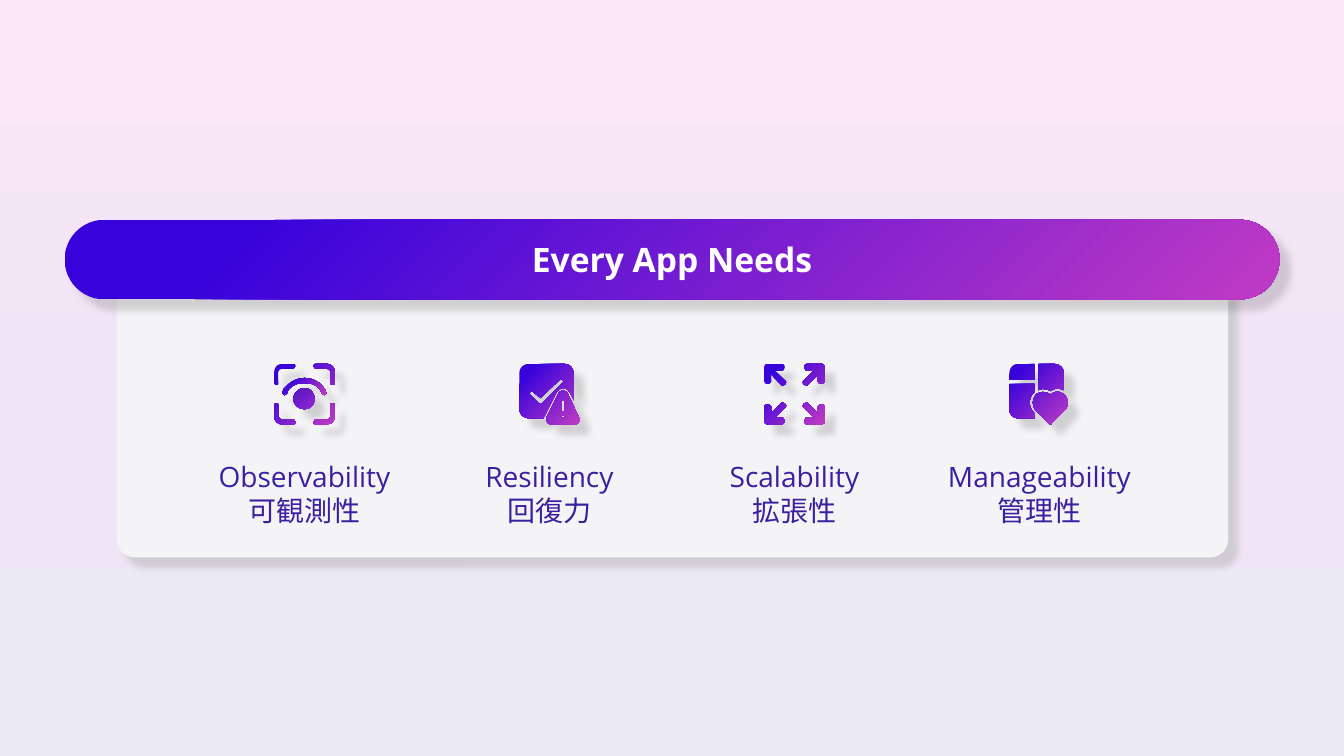
from dataclasses import dataclass

from lxml.etree import SubElement
from pptx import Presentation
from pptx.dml.color import RGBColor
from pptx.enum.shapes import MSO_SHAPE as Shape
from pptx.enum.text import MSO_ANCHOR as Anchor, MSO_AUTO_SIZE as AutoSize, PP_ALIGN as Align
from pptx.oxml import parse_xml
from pptx.oxml.ns import nsdecls, qn
from pptx.util import Emu, Pt

PX = 9144  # 100 px to the inch
FONT = "Open Sans"
CURVE_STEPS = 6
FIRST_CENTER, PITCH = 302, 243
ICON_TOP, ICON_SIZE = 361, 60
LABEL_TOP, LABEL_HEIGHT = 451, 77

Point = tuple[float, float]
Contour = list[Point]


@dataclass(frozen=True)
class Gradient:
    stops: tuple[tuple[int, str], ...]
    direction: str


@dataclass(frozen=True)
class Shadow:
    color: str
    alpha: int


@dataclass(frozen=True)
class Need:
    english: str
    japanese: str
    outlines: tuple[str, ...]  # one shape each, on a 60 px square
    mirrored: str = ""  # top left quarter, repeated in the other three
    label_width: int = 200


BACKDROP = Gradient(((0, "FCE7F8"), (50, "F0E5F6"), (100, "EDEAF7")),
                    '<a:lin ang="5400000" scaled="0"/>')
ACCENT = Gradient(((0, "C03BC4"), (85, "3803DB")),
                  '<a:path path="circle"><a:fillToRect l="100000" t="100000"/></a:path>')
PANEL_SHADOW = Shadow("B1B3B3", 50)
ACCENT_SHADOW = Shadow("454142", 20)

PUPIL = "M 19 35 C 19 29 24 24 30 24 C 36 24 40 29 40 35 C 40 40 36 45 30 45 C 24 45 19 40 19 35"
EYELID = ("M 13 29 C 12 30 11 31 10 31 C 8 30 8 28 8 28 C 8 27 9 27 9 25 C 10 24 12 22 13 21 "
          "C 16 18 22 14 30 14 C 38 14 44 18 47 21 C 48 22 49 24 50 25 C 51 26 51 27 51 28 "
          "C 52 29 51 30 50 31 C 49 31 48 30 47 29 C 46 26 45 25 44 24 C 41 21 37 19 30 19 "
          "C 23 19 19 21 16 24 C 15 25 14 26 13 28")
FRAME_CORNER = ("M 21 2 C 21 1 20 0 19 0 L 8 0 C 3 0 0 4 0 8 L 0 19 C 0 20 1 21 2 21 "
                "C 4 21 4 20 4 19 L 4 8 C 5 6 6 5 8 5 L 19 5 C 20 4 21 3 21 2")
CHECK_AND_WARNING = (
    "M 10 0 C 4 0 0 4 0 10 L 0 44 C 0 50 4 54 10 54 L 24 54 C 24 53 24 53 25 52 L 37 28 "
    "C 40 23 47 23 50 28 L 54 36 L 54 10 C 54 4 50 0 44 0 "
    "M 43 19 L 23 39 C 22 40 20 40 19 39 L 11 31 C 10 30 10 29 11 28 C 12 27 13 27 14 28 "
    "L 21 34 L 40 16 C 41 15 42 15 43 16 C 44 17 44 18 43 19 "
    "M 39 29 L 27 53 C 26 56 28 60 31 60 L 55 60 C 59 60 61 56 59 53 L 48 29 C 46 26 41 26 39 29 "
    "M 45 37 L 45 46 C 45 47 44 48 43 48 C 43 48 42 47 42 46 L 42 37 C 42 37 43 36 43 36 "
    "C 44 36 45 37 45 37 "
    "M 43 54 C 43 54 42 53 42 53 C 42 52 43 51 43 51 C 44 51 45 52 45 53 C 45 53 44 54 43 54")
ARROW = ("M 17 0 C 19 0 20 1 20 3 C 20 5 19 7 17 7 L 11 7 L 20 16 C 22 17 22 19 21 20 "
         "C 19 22 17 22 16 20 L 7 11 L 7 17 C 7 18 5 20 4 20 L 3 20 C 2 20 0 19 0 17 "
         "L 0 3 C 0 1 2 0 3 0")
TILES_AND_HEART = (
    "M 25 54 L 25 49 L 24 48 C 19 43 19 34 24 29 C 24 29 25 29 25 28 L 25 20 L 0 20 L 0 45 "
    "C 0 50 4 54 9 54 "
    "M 54 10 L 54 26 C 50 24 45 24 41 27 C 37 25 33 24 29 26 L 29 0 L 44 0 C 50 0 54 4 54 9 "
    "M 25 44 C 23 41 23 36 25 33 C 25 32 26 32 26 31 C 27 30 28 29 29 29 C 33 27 37 28 40 30 "
    "C 40 31 40 31 41 31 C 41 31 41 31 42 30 C 45 27 50 27 54 30 C 54 30 55 30 55 31 "
    "C 59 35 59 42 55 46 L 42 59 C 42 60 41 60 41 60 C 40 60 40 60 39 59 L 26 46 "
    "C 26 45 25 45 25 44 "
    "M 25 16 L 25 0 L 9 0 C 4 0 0 4 0 10 L 0 16")

NEEDS = (
    Need("Observability", "可観測性", (PUPIL, EYELID), FRAME_CORNER),
    Need("Resiliency", "回復力", (CHECK_AND_WARNING,)),
    Need("Scalability", "拡張性", ("",), ARROW),
    Need("Manageability", "管理性", (TILES_AND_HEART,), label_width=220),
)


def px(length: float) -> Emu:
    return Emu(round(length * PX))


def rgb(color: str) -> RGBColor:
    return RGBColor.from_string(color)


def set_gradient(properties, gradient: Gradient) -> None:
    """Swap the solid fill of a properties element for a gradient."""
    stops = "".join(f'<a:gs pos="{position * 1000}"><a:srgbClr val="{color}"/></a:gs>'
                    for position, color in gradient.stops)
    fill = parse_xml(f'<a:gradFill {nsdecls("a")} rotWithShape="1"><a:gsLst>{stops}</a:gsLst>'
                     f'{gradient.direction}</a:gradFill>')
    properties.replace(properties.find(qn("a:solidFill")), fill)


def style(shape, fill: str | Gradient, shadow: Shadow) -> None:
    shape.line.fill.background()
    shape.fill.solid()
    properties = shape.element.spPr
    if isinstance(fill, Gradient):
        set_gradient(properties, fill)
    else:
        shape.fill.fore_color.rgb = rgb(fill)
    shape.shadow.inherit = False
    outer = SubElement(properties.find(qn("a:effectLst")), qn("a:outerShdw"),
                       blurRad=str(Pt(5)), dist=str(Pt(10)), dir="2700000",
                       algn="tl", rotWithShape="0")
    color = SubElement(outer, qn("a:srgbClr"), val=shadow.color)
    SubElement(color, qn("a:alpha"), val=str(shadow.alpha * 1000))


def add_rounded(slide, left: int, top: int, width: int, height: int, radius: float,
                fill: str | Gradient, shadow: Shadow):
    shape = slide.shapes.add_shape(Shape.ROUNDED_RECTANGLE, px(left), px(top), px(width), px(height))
    shape.adjustments[0] = radius
    style(shape, fill, shadow)
    return shape


def write(paragraph, text: str, size: int, color: str, bold: bool = False) -> None:
    paragraph.text = text
    paragraph.alignment = Align.CENTER
    font = paragraph.font
    font.name, font.size, font.bold = FONT, Pt(size), bold
    font.color.rgb = rgb(color)


def contours(outline: str) -> list[Contour]:
    """Turn M, L and C commands into closed runs of points."""
    result: list[Contour] = []
    tokens = iter(outline.split())
    for command in tokens:
        points = [(float(next(tokens)), float(next(tokens)))
                  for _ in range(3 if command == "C" else 1)]
        if command == "M":
            result.append([])
        if command == "C":
            start, (one, two, end) = result[-1][-1], points
            points = []
            for step in range(1, CURVE_STEPS + 1):
                t = step / CURVE_STEPS
                weights = ((1 - t) ** 3, 3 * t * (1 - t) ** 2, 3 * t * t * (1 - t), t ** 3)
                points.append(tuple(sum(weight * point[axis] for weight, point
                                        in zip(weights, (start, one, two, end)))
                                    for axis in (0, 1)))
        result[-1].extend(points)
    return result


def four_corners(outline: str) -> list[Contour]:
    return [[(ICON_SIZE - x if right else x, ICON_SIZE - y if low else y) for x, y in contour]
            for right in (False, True) for low in (False, True) for contour in contours(outline)]


def add_outline(slide, left: int, parts: list[Contour]) -> None:
    placed = [[(px(left + x), px(ICON_TOP + y)) for x, y in part] for part in parts]
    builder = slide.shapes.build_freeform(*placed[0][0], scale=1.0)
    for index, part in enumerate(placed):
        if index:
            builder.move_to(*part[0])
        builder.add_line_segments(part[1:], close=True)
    style(builder.convert_to_shape(), ACCENT, ACCENT_SHADOW)


def add_need(slide, need: Need, center: int) -> None:
    for index, outline in enumerate(need.outlines):
        corners = four_corners(need.mirrored) if index == 0 else []
        add_outline(slide, center - ICON_SIZE // 2, corners + contours(outline))
    label = slide.shapes.add_textbox(px(center - need.label_width // 2), px(LABEL_TOP),
                                     px(need.label_width), px(LABEL_HEIGHT))
    frame = label.text_frame
    frame.word_wrap = True
    frame.auto_size = AutoSize.SHAPE_TO_FIT_TEXT
    write(frame.paragraphs[0], need.english, 20, "3A20A0")
    write(frame.add_paragraph(), need.japanese, 20, "3A20A0")


def main() -> None:
    presentation = Presentation()
    presentation.slide_width, presentation.slide_height = px(1333), px(750)
    slide = presentation.slides.add_slide(presentation.slide_layouts[6])
    slide.background.fill.solid()
    set_gradient(slide.element.find(".//" + qn("p:bgPr")), BACKDROP)

    # Panel with the four needs
    add_rounded(slide, 116, 260, 1102, 293, 0.06, "F4F3F5", PANEL_SHADOW)
    for index, need in enumerate(NEEDS):
        add_need(slide, need, FIRST_CENTER + index * PITCH)

    # Title bar
    title = add_rounded(slide, 64, 218, 1205, 79, 0.5, ACCENT, ACCENT_SHADOW)
    frame = title.text_frame
    frame.margin_left = frame.margin_top = frame.margin_right = frame.margin_bottom = 0
    frame.vertical_anchor = Anchor.MIDDLE
    write(frame.paragraphs[0], "Every App Needs", 24, "FFFFFF", bold=True)

    presentation.save("out.pptx")


if __name__ == "__main__":
    main()
